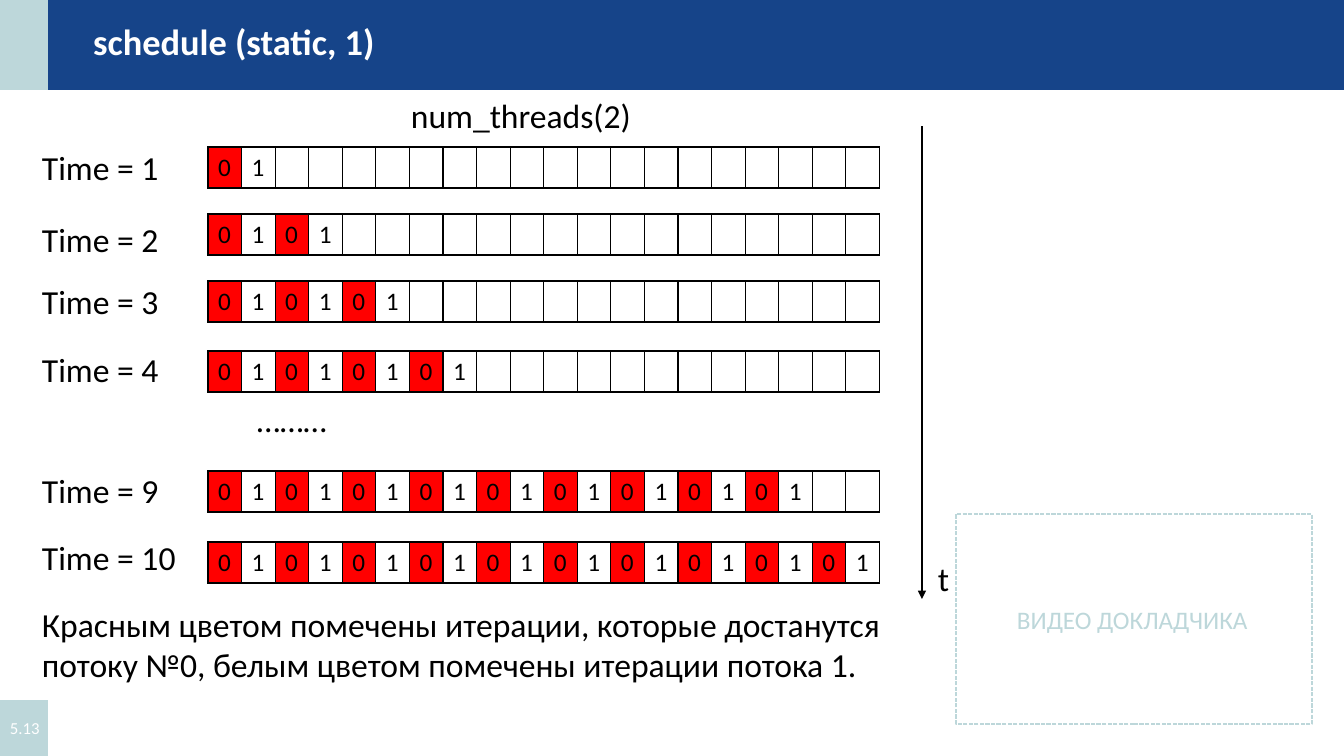
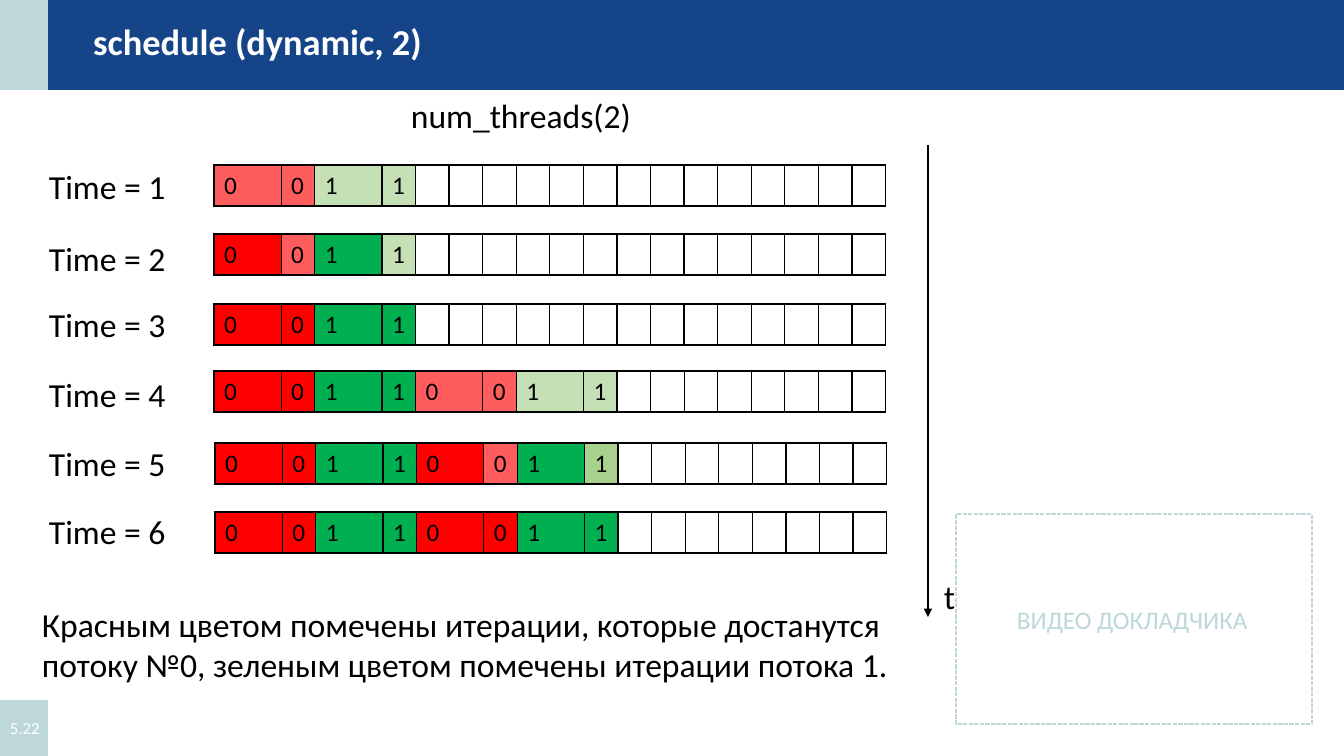
from lxml import etree
from pptx import Presentation
from pptx.dml.color import RGBColor
from pptx.enum.dml import MSO_LINE_DASH_STYLE
from pptx.enum.shapes import MSO_CONNECTOR_TYPE, MSO_SHAPE
from pptx.enum.text import MSO_ANCHOR, MSO_AUTO_SIZE, PP_ALIGN
from pptx.oxml.ns import qn
from pptx.util import Emu, Pt

RECTANGLE = MSO_SHAPE.RECTANGLE
STRAIGHT = MSO_CONNECTOR_TYPE.STRAIGHT
DASHED = MSO_LINE_DASH_STYLE.SQUARE_DOT
MIDDLE = MSO_ANCHOR.MIDDLE
LEFT = PP_ALIGN.LEFT
FIT_SHAPE = MSO_AUTO_SIZE.SHAPE_TO_FIT_TEXT
NO_FIT = MSO_AUTO_SIZE.NONE

FONT = "Calibri"
COLORS = {
    "band": "164489", "accent": "BDD7DA", "black": "000000", "white": "FFFFFF",
    "red": "FF0000", "light red": "FF5D5D",
    "green": "00B050", "light green": "C5E0B4", "mid green": "A9D18E",
}
# One letter per iteration cell: thread number and fill
CELL_STYLES = {
    "R": ("0", "red"), "r": ("0", "light red"), "W": ("1", "white"),
    "G": ("1", "green"), "g": ("1", "light green"), "m": ("1", "mid green"),
}
ITERATIONS = 20
TABLE_WIDTH, ROW_HEIGHT = 672, 41


def px(length):
    return Emu(round(length * 914400 / 100.8))


def color(name):
    return RGBColor.from_string(COLORS[name])


class ScheduleDeck:
    def __init__(self):
        self.deck = Presentation()
        self.deck.slide_width, self.deck.slide_height = px(1344), px(756)
        self.page = None

    def format_text(self, frame, size, fill="black", bold=False):
        for para in frame.paragraphs:
            para.alignment = LEFT
            for span in para.runs:
                span.font.name = FONT
                span.font.size = Pt(size)
                span.font.bold = bold
                span.font.color.rgb = color(fill)

    def rectangle(self, left, top, width, height, fill=None):
        box = self.page.shapes.add_shape(
            RECTANGLE, px(left), px(top), px(width), px(height))
        box.shadow.inherit = False
        if fill:
            box.fill.solid()
            box.fill.fore_color.rgb = color(fill)
            box.line.fill.background()
        else:
            box.fill.background()
            box.line.color.rgb = color("accent")
            box.line.width = Pt(1)
            box.line.dash_style = DASHED

    def text(self, words, left, top, width, height=50, size=24, fill="black",
             wrap=True):
        box = self.page.shapes.add_textbox(px(left), px(top), px(width), px(height))
        frame = box.text_frame
        frame.text = words
        frame.word_wrap = wrap
        frame.auto_size = FIT_SHAPE
        self.format_text(frame, size, fill)
        return frame

    def title(self, words):
        box = self.page.shapes.title
        box.left, box.top, box.width, box.height = px(83), px(24), px(977), px(40)
        box.element.getparent().append(box.element)  # in front of the band
        frame = box.text_frame
        frame.text = words
        frame.auto_size = NO_FIT
        frame.vertical_anchor = MIDDLE
        frame.paragraphs[0].line_spacing = 0.9
        self.format_text(frame, 26, "white", bold=True)

    def start_page(self, title, number):
        self.page = self.deck.slides.add_slide(self.deck.slide_layouts[5])
        # Header band, speaker video frame and page number
        self.rectangle(0, 0, 1344, 90, "band")
        self.rectangle(0, 0, 48, 90, "accent")
        self.rectangle(956, 514, 356, 210)
        self.text("ВИДЕО ДОКЛАДЧИКА", 1007, 599, 253, 40, 18, "accent", wrap=False)
        self.rectangle(0, 700, 48, 56, "accent")
        self.title(title)
        frame = self.text(number, 0, 708, 56, 40, 12, "white")
        frame.auto_size = NO_FIT
        frame.vertical_anchor = MIDDLE

    def cell_borders(self, cell):
        properties = cell._tc.get_or_add_tcPr()
        for side in ("a:lnL", "a:lnR", "a:lnT", "a:lnB"):
            border = etree.SubElement(properties, qn(side), w=str(Pt(1)))
            fill = etree.SubElement(border, qn("a:solidFill"))
            etree.SubElement(fill, qn("a:srgbClr"), val=COLORS["black"])

    def iterations(self, left, top, codes, spans):
        """Draw one row of cells; spans are the repeating widths of used cells."""
        widths = [spans[index % len(spans)] for index in range(len(codes))]
        widths += [1] * (ITERATIONS - sum(widths))
        frame = self.page.shapes.add_table(
            1, len(widths), px(left), px(top), px(TABLE_WIDTH), px(ROW_HEIGHT))
        table = frame.table
        table.first_row = table.horz_banding = False
        table.rows[0].height = px(ROW_HEIGHT)
        for index, width in enumerate(widths):
            table.columns[index].width = px(width * TABLE_WIDTH / ITERATIONS)
            cell = table.cell(0, index)
            self.cell_borders(cell)
            if index < len(codes):
                thread, fill = CELL_STYLES[codes[index]]
                cell.fill.solid()
                cell.fill.fore_color.rgb = color(fill)
                cell.text_frame.text = thread
                self.format_text(cell.text_frame, 18)
            else:
                cell.fill.background()

    def time_steps(self, label_left, spans, steps):
        for time, label_top, left, top, codes in steps:
            label_width = 143 if time < 10 else 174
            self.text(f"Time = {time}", label_left, label_top, label_width)
            self.iterations(left, top, codes, spans)

    def time_axis(self, x, top, bottom):
        axis = self.page.shapes.add_connector(
            STRAIGHT, px(x), px(top), px(x), px(bottom))
        axis.line.color.rgb = color("black")
        axis.line.width = Pt(1.5)
        etree.SubElement(axis.line._get_or_add_ln(), qn("a:tailEnd"), type="triangle")
        etree.SubElement(axis.element.spPr, qn("a:effectLst"))
        self.text("t", x + 6, bottom - 46, 31, wrap=False)

    def explanation(self, thread_one_color):
        self.text("num_threads(2)", 401, 90, 243, wrap=False)
        self.text("Красным цветом помечены итерации, которые достанутся потоку №0, "
                  f"{thread_one_color} цветом помечены итерации потока 1.",
                  32, 599, 905, 92)


schedule = ScheduleDeck()

# Static schedule: threads alternate on single iterations
schedule.start_page("schedule (static, 1)", "5.13")
schedule.explanation("белым")
static_tops = [(1, 142, 147), (2, 214, 214), (3, 276, 281),
               (4, 344, 351), (9, 465, 471), (10, 532, 542)]
schedule.time_steps(32, (1,), [
    (time, label_top, 208, top, "RW" * time) for time, label_top, top in static_tops])
schedule.text("………", 247, 394, 93)
schedule.time_axis(922, 126, 599)

# Dynamic schedule: chunks of a long and a short iteration
schedule.start_page("schedule (dynamic, 2)", "5.22")
schedule.explanation("зеленым")
schedule.time_steps(39, (2, 1), [
    (1, 161, 214, 165, "rrgg"),
    (2, 233, 214, 234, "RrGg"),
    (3, 299, 214, 304, "RRGG"),
    (4, 369, 214, 371, "RRGGrrgg"),
    (5, 438, 215, 443, "RRGGRrGm"),
    (6, 506, 215, 512, "RRGGRRGG"),
])
schedule.time_axis(928, 145, 617)

schedule.deck.save("out.pptx")
